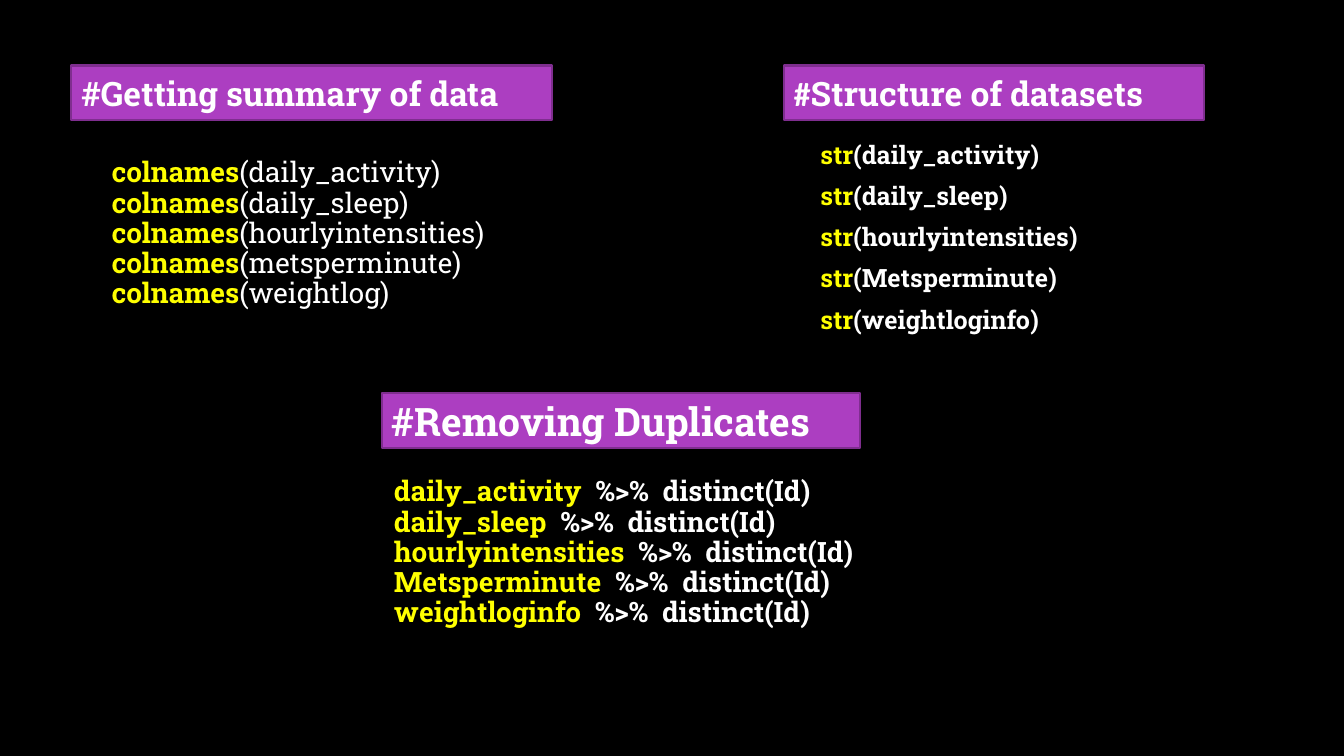
import pptx
import pptx.dml.color
import pptx.enum.shapes
import pptx.enum.text
import pptx.util

Pt = pptx.util.Pt
ANCHOR = pptx.enum.text.MSO_ANCHOR

BLACK, WHITE, YELLOW = "000000", "FFFFFF", "FFFF00"
PURPLE, DARK_PURPLE = "AC3EC1", "7F2E8F"
SLAB = "Roboto Slab"

HEADINGS = [
    {"box": (51, 46.8, 343.5, 39), "size": 24,
     "words": [("#Getting summary of data", SLAB)]},
    {"box": (560, 46.8, 300.3, 39), "size": 24,
     "words": [("#", "Calibri"), ("Structure of datasets", SLAB)]},
    {"box": (272.9, 280.8, 341.3, 39), "size": 28,
     "words": [("#Removing Duplicates", SLAB)]},
]

LISTINGS = [
    {"box": (72.7, 85.7, 360, 163.4), "size": 20, "gap": 0,
     "anchor": ANCHOR.MIDDLE, "bold_rest": False,
     "lines": [("colnames", f"({name})") for name in (
         "daily_activity", "daily_sleep", "hourlyintensities",
         "metsperminute", "weightlog")]},
    {"box": (578.9, 93.6, 351.4, 153.4), "size": 18, "gap": 10,
     "anchor": ANCHOR.MIDDLE, "bold_rest": True,
     "lines": [("str", f"({name})") for name in (
         "daily_activity", "daily_sleep", "hourlyintensities",
         "Metsperminute", "weightloginfo")]},
    {"box": (274.3, 337.7, 411.1, 128.2), "size": 20, "gap": 0,
     "anchor": ANCHOR.TOP, "bold_rest": True,
     "lines": [(name, "  %>%  distinct(Id)") for name in (
         "daily_activity", "daily_sleep", "hourlyintensities",
         "Metsperminute", "weightloginfo")]},
]


def paint(target, color):
    target.rgb = pptx.dml.color.RGBColor.from_string(color)


def add_run(paragraph, text, size, color, font=SLAB, bold=True):
    run = paragraph.add_run()
    run.text = text
    run.font.name = font
    run.font.size = Pt(size)
    run.font.bold = bold
    paint(run.font.color, color)


def add_heading(slide, heading):
    banner = slide.shapes.add_shape(
        pptx.enum.shapes.MSO_SHAPE.RECTANGLE, *map(Pt, heading["box"]))
    banner.shadow.inherit = False
    banner.fill.solid()
    paint(banner.fill.fore_color, PURPLE)
    paint(banner.line.color, DARK_PURPLE)
    banner.line.width = Pt(1.5)
    banner.text_frame.vertical_anchor = ANCHOR.MIDDLE
    title = banner.text_frame.paragraphs[0]
    title.alignment = pptx.enum.text.PP_ALIGN.LEFT
    for text, font in heading["words"]:
        add_run(title, text, heading["size"], WHITE, font)


def add_listing(slide, listing):
    frame = slide.shapes.add_textbox(*map(Pt, listing["box"])).text_frame
    frame.word_wrap = True
    frame.vertical_anchor = listing["anchor"]
    for index, (keyword, rest) in enumerate(listing["lines"]):
        line = frame.add_paragraph() if index else frame.paragraphs[0]
        line.line_spacing = 0.9
        line.space_after = Pt(listing["gap"])
        add_run(line, keyword, listing["size"], YELLOW)
        add_run(line, rest, listing["size"], WHITE, bold=listing["bold_rest"])


def main():
    deck = pptx.Presentation()
    deck.slide_width, deck.slide_height = Pt(960), Pt(540)
    slide = deck.slides.add_slide(deck.slide_layouts[6])
    slide.background.fill.solid()
    paint(slide.background.fill.fore_color, BLACK)
    for heading in HEADINGS:
        add_heading(slide, heading)
    for listing in LISTINGS:
        add_listing(slide, listing)
    deck.save("out.pptx")


if __name__ == "__main__":
    main()
